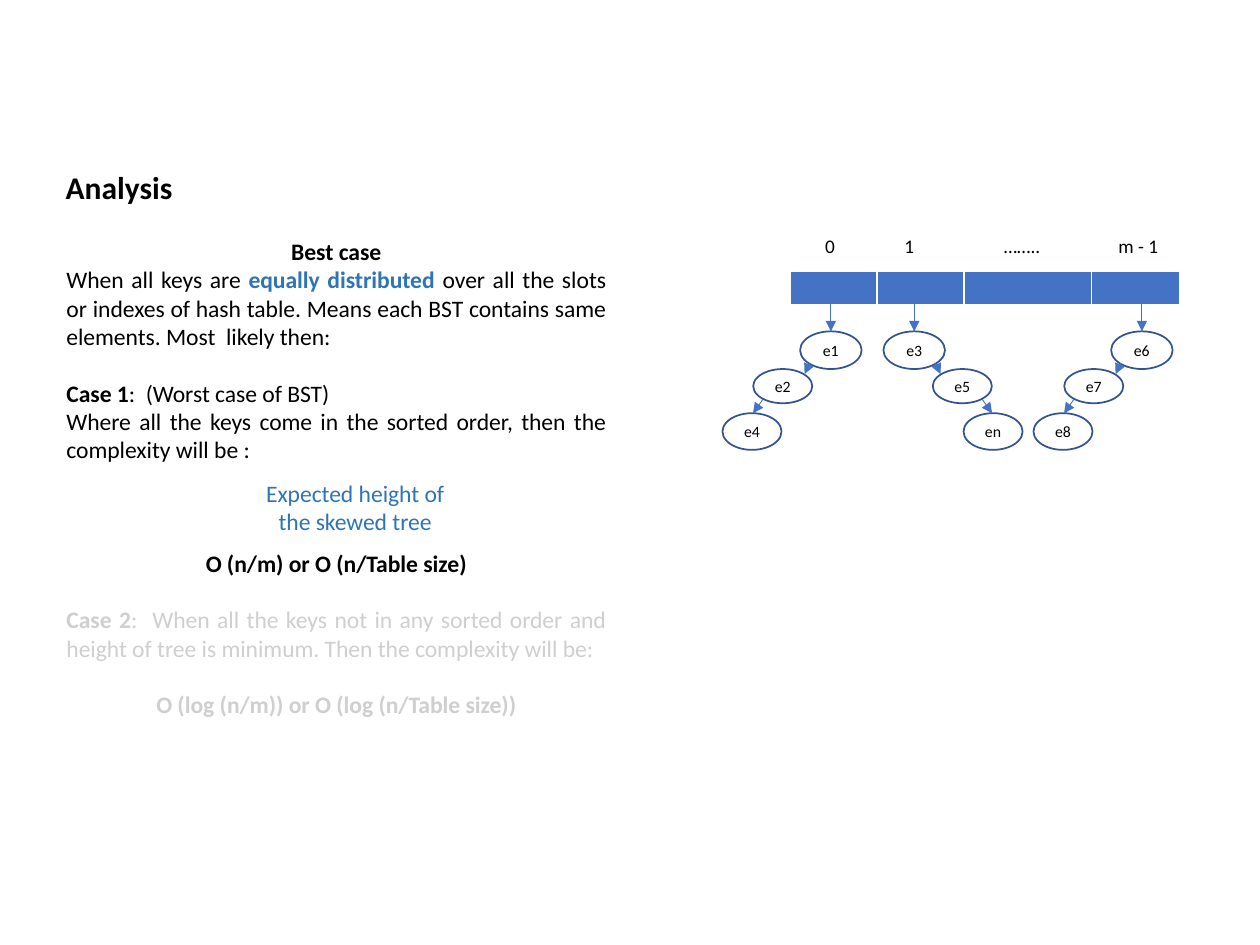
from lxml import etree
from pptx import Presentation
from pptx.dml.color import RGBColor
from pptx.enum.shapes import MSO_CONNECTOR, MSO_SHAPE
from pptx.enum.text import MSO_ANCHOR, PP_ALIGN
from pptx.oxml.ns import qn
from pptx.util import Cm, Pt

LEFT, MID, FULL = PP_ALIGN.LEFT, PP_ALIGN.CENTER, PP_ALIGN.JUSTIFY
TOP, CENTER = MSO_ANCHOR.TOP, MSO_ANCHOR.MIDDLE
OVAL, LINE = MSO_SHAPE.OVAL, MSO_CONNECTOR.STRAIGHT

BLACK = RGBColor(0x00, 0x00, 0x00)
WHITE = RGBColor(0xFF, 0xFF, 0xFF)
BLUE = RGBColor(0x44, 0x72, 0xC4)
NAVY = RGBColor(0x32, 0x54, 0x91)
SKY = RGBColor(0x2E, 0x75, 0xB6)
GREY = RGBColor(0xD0, 0xCE, 0xCE)

FONT = "Calibri"
BODY = 13.5
GAP = 16.2  # one line of body text, in points

# Alignment, space before, runs of (text, colour, bold)
NOTES = [
    (MID, 0, [("Best case", BLACK, True)]),
    (FULL, 0, [
        ("When all keys are ", BLACK, False),
        ("equally distributed ", SKY, True),
        ("over all the slots or indexes of hash table. Means each BST "
         "contains same elements. Most  likely then:", BLACK, False)]),
    (FULL, GAP, [("Case 1", BLACK, True),
                 (":  (Worst case of BST)", BLACK, False)]),
    (FULL, 0, [("Where all the keys come in the sorted order, then the "
                "complexity will be :", BLACK, False)]),
    (MID, 3 * GAP, [("O (n/m) or O (n/Table size)", BLACK, True)]),
    (FULL, GAP, [
        ("Case 2", GREY, True),
        (":  When all the keys not in any sorted order and height of tree "
         "is minimum. Then the complexity will be:", GREY, False)]),
    (MID, GAP, [("O (log (n/m)) or O (log (n/Table size))", GREY, True)]),
]
HEIGHT = [(MID, 0, [("Expected height of the skewed tree", SKY, False)])]

# Root centre, growth direction, keys from the root down
TREES = [
    (16.75, -1, ("e1", "e2", "e4")),
    (18.43, 1, ("e3", "e5", "en")),
    (23.02, -1, ("e6", "e7", "e8")),
]
# Offset from the root centre, top, width, height
NODES = [(0, 6.68, 1.24, 0.76), (0.97, 7.44, 1.19, 0.69),
         (1.59, 8.33, 1.19, 0.74)]
# Start offset, start y, end offset, end y
LINKS = [(0.43, 7.32, 0.53, 7.54), (1.37, 8.05, 1.57, 8.33),
         (0, 5.82, 0, 6.68)]


def add_run(par, text, size, color=BLACK, bold=False):
    run = par.add_run()
    run.text = text
    font = run.font
    font.name, font.size, font.bold = FONT, Pt(size), bold
    font.color.rgb = color


def add_title(slide, text):
    title = slide.shapes.title
    title.left, title.top = Cm(1.07), Cm(3.25)
    title.width, title.height = Cm(9.93), Cm(1.02)
    title.text_frame.vertical_anchor = TOP
    par = title.text_frame.paragraphs[0]
    par.alignment = LEFT
    add_run(par, text, 18, bold=True)


def add_text(slide, box, pars):
    frame = slide.shapes.add_textbox(*map(Cm, box)).text_frame
    frame.word_wrap = True
    for i, (align, gap, runs) in enumerate(pars):
        par = frame.add_paragraph() if i else frame.paragraphs[0]
        par.alignment = align
        par.space_before = Pt(gap)
        for text, color, bold in runs:
            add_run(par, text, BODY, color, bold)


def add_row(slide, top, height, widths, texts, fill=None):
    """Add a one-row table; without a fill its cells stay clear."""
    table = slide.shapes.add_table(
        1, len(widths), Cm(15.93), Cm(top), Cm(sum(widths)), Cm(height)).table
    table.horz_banding = False
    table.rows[0].height = Cm(height)
    for i, (width, text) in enumerate(zip(widths, texts)):
        table.columns[i].width = Cm(width)
        cell = table.cell(0, i)
        cell.margin_left = cell.margin_right = Cm(0.13)
        cell.margin_top = cell.margin_bottom = Cm(0.08)
        if fill is None:
            cell.fill.background()
        else:
            cell.fill.solid()
            cell.fill.fore_color.rgb = fill
        par = cell.text_frame.paragraphs[0]
        par.alignment = MID
        par.font.size = Pt(11)
        if text:
            add_run(par, text, 11)


def add_node(group, text, mid, top, width, height):
    node = group.shapes.add_shape(
        OVAL, Cm(mid - width / 2), Cm(top), Cm(width), Cm(height))
    node.shadow.inherit = False
    node.fill.solid()
    node.fill.fore_color.rgb = WHITE
    node.line.color.rgb = NAVY
    node.line.width = Pt(1)
    frame = node.text_frame
    frame.margin_left = frame.margin_right = 0
    frame.margin_top = frame.margin_bottom = 0
    frame.word_wrap = False
    frame.vertical_anchor = CENTER
    par = frame.paragraphs[0]
    par.alignment = MID
    add_run(par, text, 9)


def add_arrow(group, *ends):
    arrow = group.shapes.add_connector(LINE, *map(Cm, ends))
    arrow.line.color.rgb = BLUE
    arrow.line.width = Pt(0.5)
    etree.SubElement(arrow.line._get_or_add_ln(), qn("a:tailEnd"),
                     type="triangle")
    etree.SubElement(arrow._element.spPr, qn("a:effectLst"))


def add_tree(slide, root, way, keys):
    group = slide.shapes.add_group_shape()
    for key, (off, top, width, height) in zip(keys, NODES):
        add_node(group, key, root + way * off, top, width, height)
    for x1, y1, x2, y2 in LINKS:
        add_arrow(group, root + way * x1, y1, root + way * x2, y2)


def main():
    deck = Presentation()
    deck.slide_width, deck.slide_height = Cm(25.4), Cm(19.05)
    slide = deck.slides.add_slide(deck.slide_layouts[5])
    add_title(slide, "Analysis")
    add_text(slide, (1.09, 4.65, 11.38, 10.06), NOTES)
    add_row(slide, 5.46, 0.69, (1.75, 1.75, 2.57, 1.78), [""] * 4, BLUE)
    add_row(slide, 4.65, 0.61, (1.6, 1.6, 2.95, 1.73),
            ("0", "1", "……..", "m - 1"))
    for tree in TREES:
        add_tree(slide, *tree)
    add_text(slide, (5, 9.53, 4.32, 1.42), HEIGHT)
    deck.save("out.pptx")


if __name__ == "__main__":
    main()
